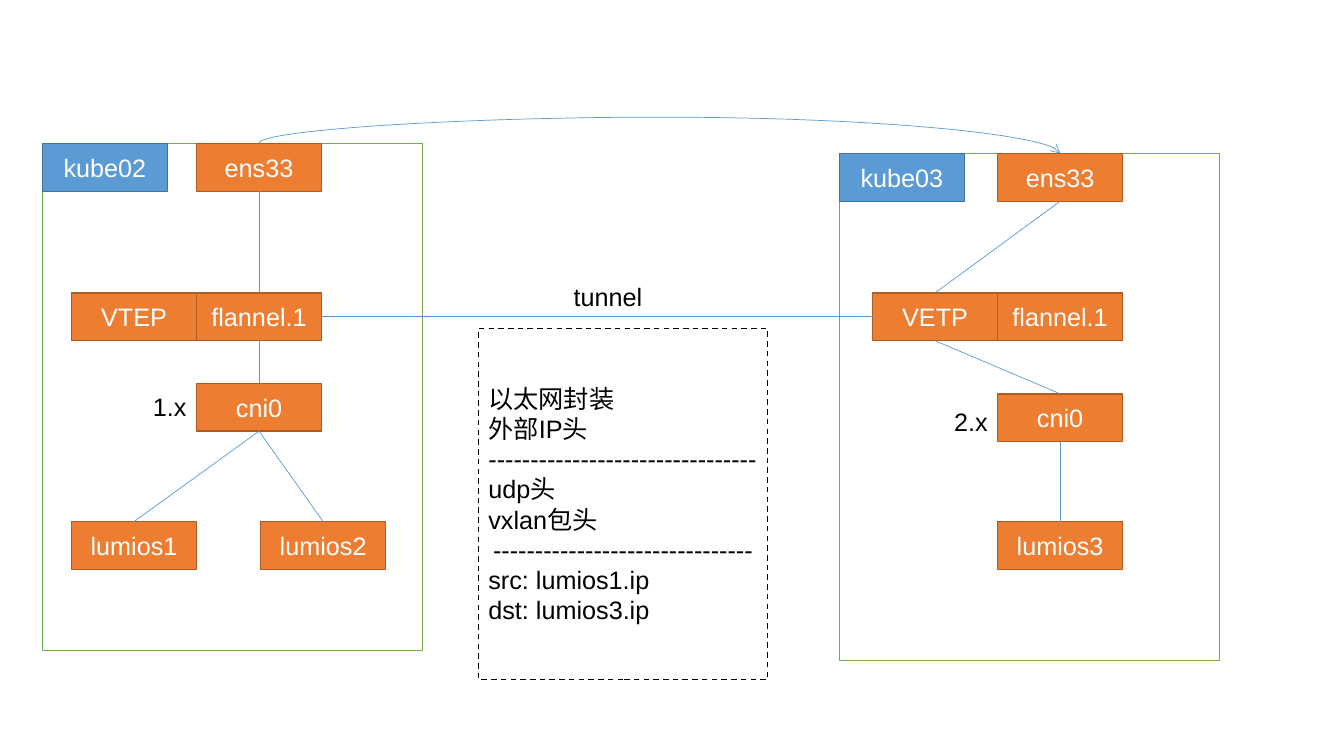
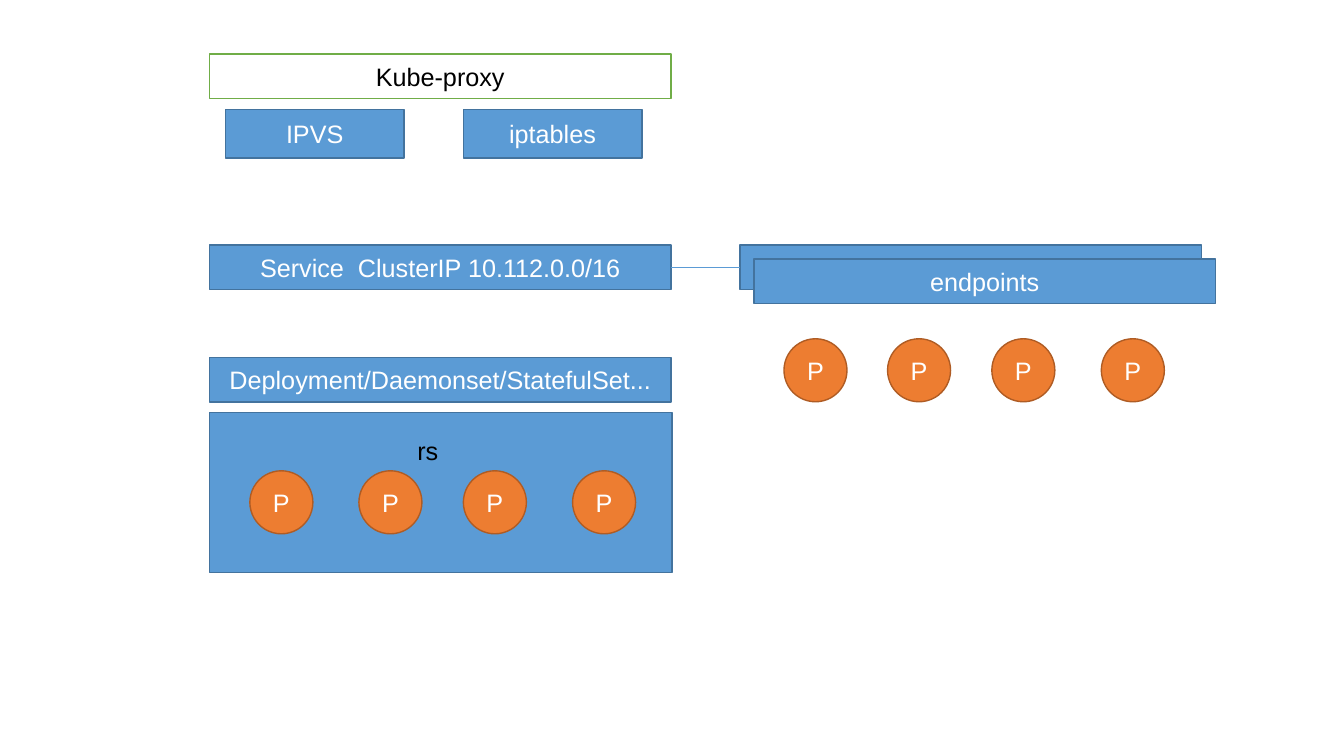
from lxml import etree
from pptx import Presentation
from pptx.dml.color import RGBColor
from pptx.enum.dml import MSO_LINE
from pptx.enum.shapes import MSO_CONNECTOR, MSO_SHAPE
from pptx.enum.text import MSO_ANCHOR, MSO_AUTO_SIZE, PP_ALIGN
from pptx.oxml.ns import qn
from pptx.util import Pt

FONT, SIZE = "Arial", 18
BLUE, ORANGE, WHITE, BLACK = "5B9BD5", "ED7D31", "FFFFFF", "000000"
# Each style: fill, outline, text
NODE = (ORANGE, "AF5C24", WHITE)
BAR = (BLUE, "43739E", WHITE)
FRAME = (WHITE, "70AD47", BLACK)
PACKET = (WHITE, BLACK, BLACK)

NODE_W, NODE_H = 89.3, 34.2
NODE_ROW, POD_ROW = 209.2, 372.6
BAR_LEFT, BAR_W, BAR_H = 149.6, 329.7, 31.7
ENDPOINTS_LEFT, SERVICE_TOP = 528.5, 175
POD_D = 45
TOP, LEFT, BOTTOM, RIGHT = range(4)  # connection sites of a rectangle


def rgb(hex_color):
    return RGBColor.from_string(hex_color)


def write(tf, text, color, align):
    tf.text = text
    for p in tf.paragraphs:
        p.alignment = align
        for r in p.runs:
            r.font.name = FONT
            r.font.size = Pt(SIZE)
            r.font.color.rgb = rgb(color)


def box(s, style, left, top, width, height, text="",
        kind=MSO_SHAPE.RECTANGLE, align=PP_ALIGN.CENTER):
    fill, outline, color = style
    sp = s.shapes.add_shape(kind, Pt(left), Pt(top), Pt(width), Pt(height))
    sp.shadow.inherit = False
    sp.fill.solid()
    sp.fill.fore_color.rgb = rgb(fill)
    sp.line.color.rgb = rgb(outline)
    sp.line.width = Pt(1)
    if text:
        sp.text_frame.vertical_anchor = MSO_ANCHOR.MIDDLE
        write(sp.text_frame, text, color, align)
    return sp


def node(s, left, top, text, style=NODE):
    return box(s, style, left, top, NODE_W, NODE_H, text)


def label(s, left, top, width, text):
    tf = s.shapes.add_textbox(Pt(left), Pt(top), Pt(width), Pt(28.8)).text_frame
    tf.word_wrap = False
    tf.auto_size = MSO_AUTO_SIZE.SHAPE_TO_FIT_TEXT
    write(tf, text, BLACK, PP_ALIGN.LEFT)


def link(s, start, start_site, end, end_site, kind=MSO_CONNECTOR.STRAIGHT):
    cx = s.shapes.add_connector(kind, 0, 0, 0, 0)
    cx.begin_connect(start, start_site)
    cx.end_connect(end, end_site)
    cx.line.color.rgb = rgb(BLUE)
    cx.line.width = Pt(0.5)
    etree.SubElement(cx._element.spPr, qn("a:effectLst"))
    return cx


def arc_over(s, start, end, rise):
    """Curved arrow from top to top, rising above the start by the given points."""
    cx = link(s, start, TOP, end, TOP, MSO_CONNECTOR.CURVE)
    span, drop = cx.width, cx.height
    mid_x, mid_y = cx.left + span // 2, cx.top + drop // 2
    # The preset runs sideways, so it is laid out upright and turned.
    cx.left, cx.top = mid_x - drop // 2, mid_y - span // 2
    cx.width, cx.height = drop, span
    cx.rotation = 270
    spPr = cx._element.spPr
    spPr.find(qn("a:xfrm")).set("flipH", "1")
    guides = spPr.find(qn("a:prstGeom")).get_or_add_avLst()
    adj = round(-100000 * Pt(rise) / drop)
    etree.SubElement(guides, qn("a:gd"), name="adj1", fmla=f"val {adj}")
    etree.SubElement(spPr.find(qn("a:ln")), qn("a:tailEnd"), type="arrow")


def host(s, name, left, top, column, cni_top, tunnel_end, subnet, subnet_top, pods):
    """Draw one host and return its ens33, tunnel end and flannel nodes.

    A tunnel_end named VTEP leaves flannel as the inner hub;
    otherwise the tunnel end itself joins ens33 to cni0.
    """
    box(s, FRAME, left, top, 271.4, 362.2)
    node(s, left, top, name, BAR)
    ens = node(s, column, top, "ens33")
    vtep = node(s, column - NODE_W, NODE_ROW, tunnel_end)
    flannel = node(s, column, NODE_ROW, "flannel.1")
    cni = node(s, column, cni_top, "cni0")
    label(s, column - 38.2, subnet_top, 38.2, subnet)
    hub = flannel if tunnel_end == "VTEP" else vtep
    link(s, ens, BOTTOM, hub, TOP)
    link(s, hub, BOTTOM, cni, TOP)
    for pod_left, pod_name in pods:
        link(s, cni, BOTTOM, node(s, pod_left, POD_ROW, pod_name), TOP)
    return ens, vtep, flannel


def tunnel_slide(s):
    ens_a, _, flannel = host(s, "kube02", 30.3, 102.4, 140.4, 273.8, "VTEP", "1.x",
                             276.2, [(51.1, "lumios1"), (186.2, "lumios2")])
    ens_b, vetp, _ = host(s, "kube03", 599.6, 109.6, 712.6, 281.3, "VETP", "2.x",
                          286.9, [(712.6, "lumios3")])
    packet = box(s, PACKET, 341.8, 234.7, 206.6, 250.7, "\n".join([
        "以太网封装", "外部IP头", "-" * 32, "udp头", "vxlan包头", "-" * 31,
        "src: lumios1.ip", "dst: lumios3.ip"]), align=PP_ALIGN.LEFT)
    packet.line.dash_style = MSO_LINE.DASH
    packet.text_frame.paragraphs[5].alignment = PP_ALIGN.CENTER
    arc_over(s, ens_a, ens_b, 18.7)
    link(s, flannel, RIGHT, vetp, LEFT)
    label(s, 402.6, 197.5, 63.4, "tunnel")


def pod_row(s, lefts, top):
    for left in lefts:
        box(s, NODE, left, top, POD_D, POD_D, "P", MSO_SHAPE.OVAL)


def service_slide(s):
    box(s, FRAME, BAR_LEFT, 38.6, BAR_W, BAR_H, "Kube-proxy")
    for left, mode in [(161, "IPVS"), (330.9, "iptables")]:
        box(s, BAR, left, 78.3, 127.6, 34.5, mode)

    service = box(s, BAR, BAR_LEFT, SERVICE_TOP, BAR_W, BAR_H,
                  "Service  ClusterIP 10.112.0.0/16")
    back = box(s, BAR, ENDPOINTS_LEFT, SERVICE_TOP, BAR_W, BAR_H)
    link(s, service, RIGHT, back, LEFT)
    box(s, BAR, ENDPOINTS_LEFT + 10, SERVICE_TOP + 10, BAR_W, BAR_H, "endpoints")
    pod_row(s, [560, 634, 708.5, 786.7], 242)

    box(s, BAR, BAR_LEFT, 255.4, BAR_W, BAR_H, "Deployment/Daemonset/StatefulSet...")
    box(s, BAR, BAR_LEFT, 294.9, 330.4, 114)
    label(s, 291, 307.7, 29.5, "rs")
    pod_row(s, [178.5, 256.4, 331, 409], 336.3)


def main():
    prs = Presentation()
    prs.slide_width, prs.slide_height = Pt(960), Pt(540)
    blank = prs.slide_layouts[6]
    for draw in (tunnel_slide, service_slide):
        draw(prs.slides.add_slide(blank))
    prs.save("out.pptx")


if __name__ == "__main__":
    main()
